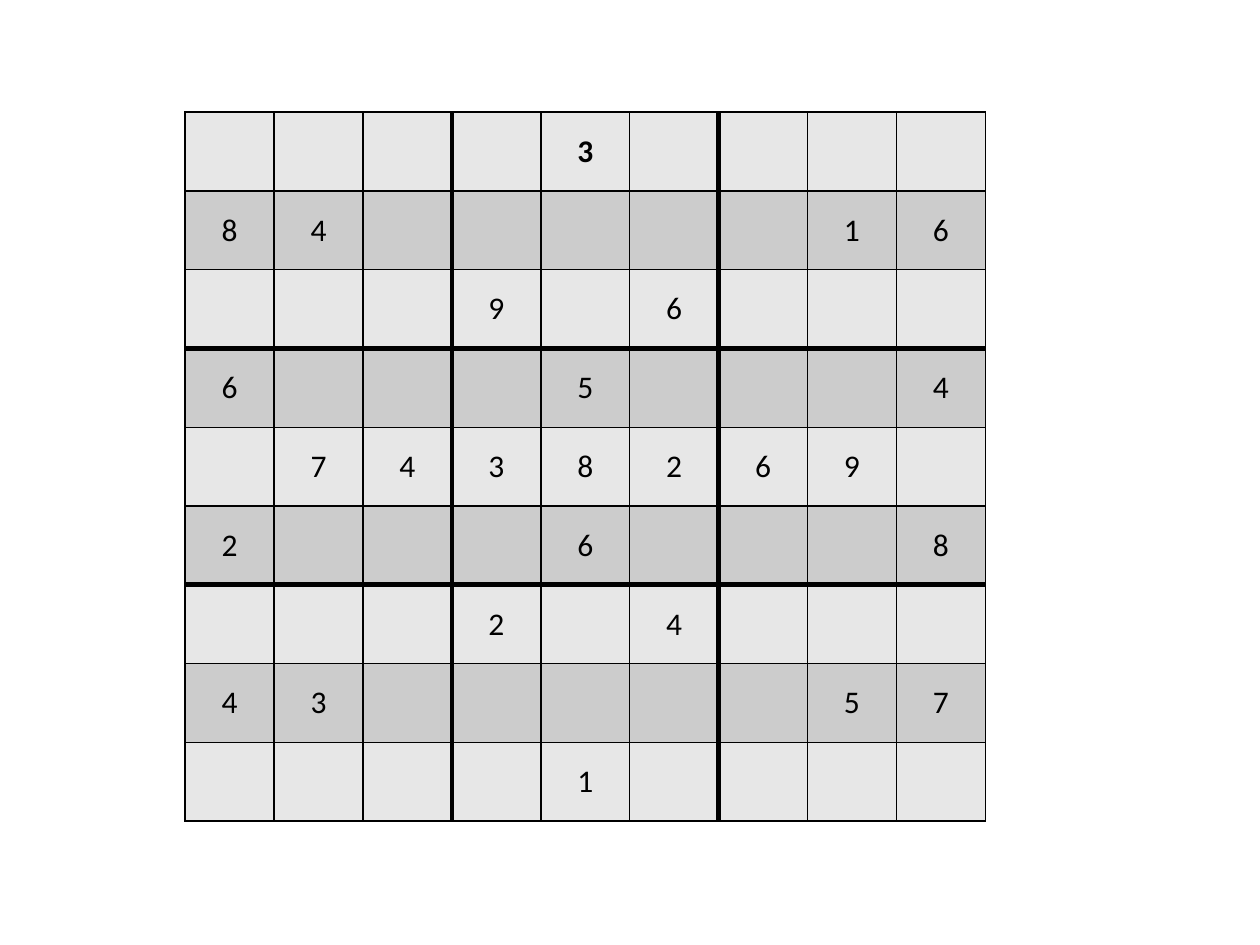
from pptx import Presentation
from pptx.dml.color import RGBColor as RGB
from pptx.enum.text import MSO_ANCHOR as Anchor, PP_ALIGN as Align
from pptx.oxml import parse_xml
from pptx.oxml.ns import nsdecls
from pptx.util import Inches, Pt

GIVENS = [
    "....3....",
    "84.....16",
    "...9.6...",
    "6...5...4",
    ".7438269.",
    "2...6...8",
    "...2.4...",
    "43.....57",
    "....1....",
]
THEME = dict(font="Calibri", size=18, ink="000000",
             bands=("E7E7E7", "CCCCCC"), thin=1, thick=3)
BOX = 3
SIZE = len(GIVENS)
LEFT, TOP, WIDTH, HEIGHT = (Inches(n) for n in (1.47, 0.89, 6.35, 5.63))


def edge(cell, side, pos):
    inner = pos % BOX == 0 and 0 < pos < SIZE
    width = Pt(THEME["thick" if inner else "thin"])
    return parse_xml(
        f'<a:ln{side} {nsdecls("a")} w="{width}" cap="flat" cmpd="sng" algn="ctr">'
        f'<a:solidFill><a:srgbClr val="{THEME["ink"]}"/></a:solidFill>'
        f'<a:prstDash val="solid"/></a:ln{side}>')


def style(cell, row, col, mark):
    cell.fill.solid()
    cell.fill.fore_color.rgb = RGB.from_string(THEME["bands"][row % 2])
    cell.vertical_anchor = Anchor.MIDDLE
    sides = (("L", col), ("R", col + 1), ("T", row), ("B", row + 1))
    props = cell._tc.get_or_add_tcPr()
    for spot, (side, pos) in enumerate(sides):
        props.insert(spot, edge(cell, side, pos))
    para = cell.text_frame.paragraphs[0]
    para.alignment = Align.CENTER
    if mark != ".":
        para.text = mark
        font = para.runs[0].font
        font.name, font.size = THEME["font"], Pt(THEME["size"])
        font.bold = row == 0
        font.color.rgb = RGB.from_string(THEME["ink"])


deck = Presentation()
deck.slide_width, deck.slide_height = Inches(10), Inches(7.5)
slide = deck.slides.add_slide(deck.slide_layouts[6])
grid = slide.shapes.add_table(SIZE, SIZE, LEFT, TOP, WIDTH, HEIGHT).table
grid.first_row = grid.horz_banding = False
for row, line in enumerate(GIVENS):
    for col, mark in enumerate(line):
        style(grid.cell(row, col), row, col, mark)

deck.save("out.pptx")
